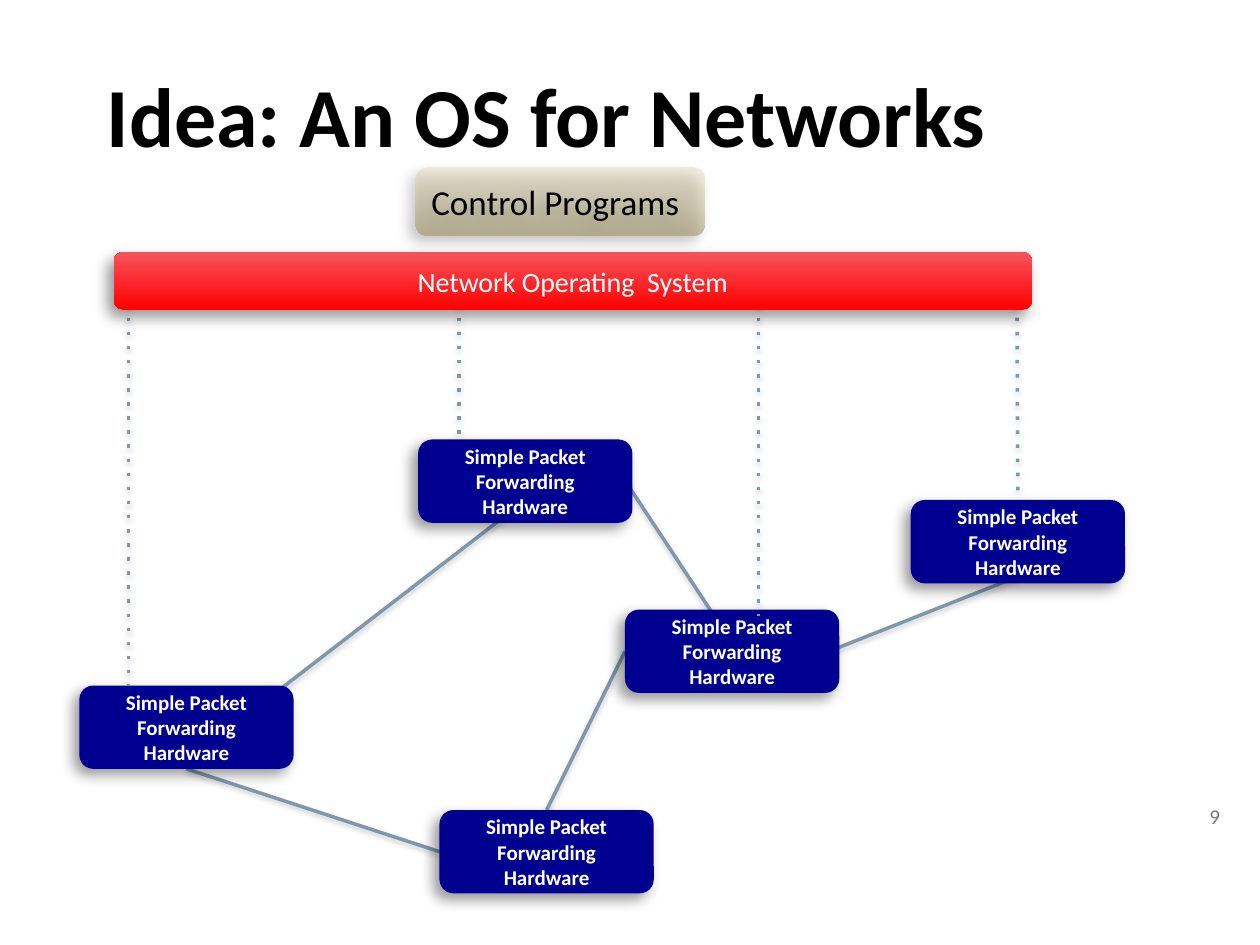
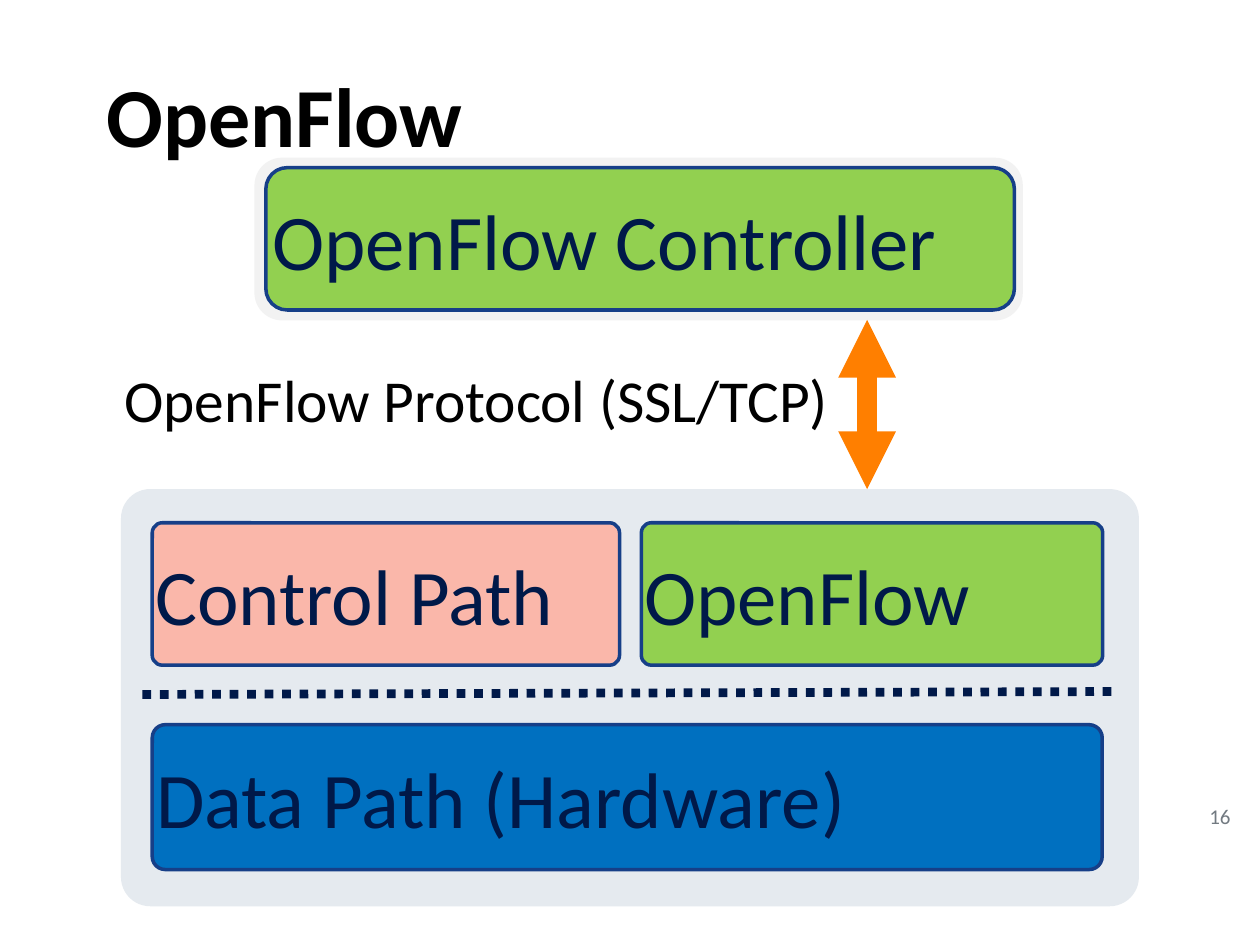
import lxml.etree
import pptx
import pptx.dml.color
import pptx.enum.shapes
import pptx.enum.text
import pptx.oxml.ns
import pptx.util

Cm, Pt = pptx.util.Cm, pptx.util.Pt
qn = pptx.oxml.ns.qn
ALIGN = pptx.enum.text.PP_ALIGN
MIDDLE = pptx.enum.text.MSO_ANCHOR.MIDDLE
NO_FIT = pptx.enum.text.MSO_AUTO_SIZE.NONE
ROUNDED = pptx.enum.shapes.MSO_SHAPE.ROUNDED_RECTANGLE
STRAIGHT = pptx.enum.shapes.MSO_CONNECTOR.STRAIGHT
TOP, LEFT, BOTTOM = 0, 1, 2

BLACK, WHITE, GRAY = "000000", "FFFFFF", "727A81"
NAVY, INK, EDGE, STEEL = "000090", "001949", "163F88", "7E97AD"
GREEN, BLUE, PINK, ORANGE = "92D050", "0070C0", "FAB7AA", "FF7F00"
PALE, MIST = "E5EAEF", "F2F2F2"
BOX_SHADOW = ("000000", 40, 8, 5, 135)
LINE_SHADOW = ("808080", 38, 3.1, 1.6, 90)


def rgb(value):
    return pptx.dml.color.RGBColor.from_string(value)


def child(parent, tag, **attrs):
    el = lxml.etree.SubElement(parent, qn(tag))
    for name, value in attrs.items():
        el.set(name, str(value))
    return el


class Deck:
    """Hold the shared style and the current slide, and draw elements on it."""

    def __init__(self):
        self.prs = pptx.Presentation()
        self.prs.slide_width, self.prs.slide_height = Cm(25.4), Cm(19.05)
        self.s = None

    def slide(self, title, number):
        self.s = self.prs.slides.add_slide(self.prs.slide_layouts[5])
        sp = self.s.shapes.title
        box = dict(left=Cm(1.9), top=Cm(0.84), width=Cm(20.12), height=Cm(3.18))
        for name, value in box.items():
            setattr(sp, name, value)
        self.put_text(sp, title, 48, BLACK, bold=True)
        sp.text_frame.paragraphs[0].line_spacing = 0.9
        self.text(number, 24.13, 15.95, 1.07, 1.02, 12, GRAY)

    def put_text(self, sp, text, size, color, bold=False, align=ALIGN.LEFT, inset=None, wrap=True):
        tf = sp.text_frame
        frame = dict(vertical_anchor=MIDDLE, word_wrap=wrap, auto_size=NO_FIT)
        if inset is not None:
            frame.update(dict.fromkeys(
                ("margin_left", "margin_top", "margin_right", "margin_bottom"), Cm(inset)))
        for name, value in frame.items():
            setattr(tf, name, value)
        p = tf.paragraphs[0]
        p.alignment = align
        r = p.add_run()
        r.text = text
        for name, value in dict(name="Calibri", size=Pt(size), bold=bold).items():
            setattr(r.font, name, value)
        r.font.color.rgb = rgb(color)

    def text(self, text, x, y, w, h, size, color, inset=None):
        sp = self.s.shapes.add_textbox(Cm(x), Cm(y), Cm(w), Cm(h))
        self.put_text(sp, text, size, color, inset=inset, wrap=False)

    def shadow(self, effects, color, alpha, blur, dist, angle):
        el = child(effects, "a:outerShdw", blurRad=Pt(blur), dist=Pt(dist),
                   dir=angle * 60000, algn="ctr", rotWithShape=0)
        child(child(el, "a:srgbClr", val=color), "a:alpha", val=alpha * 1000)

    def box(self, x, y, w, h, fill, edge=None, adj=None, shadow=None):
        sp = self.s.shapes.add_shape(ROUNDED, Cm(x), Cm(y), Cm(w), Cm(h))
        sp.shadow.inherit = False
        if adj is not None:
            sp.adjustments[0] = adj
        if isinstance(fill, str):
            sp.fill.solid()
            sp.fill.fore_color.rgb = rgb(fill)
        else:
            self.gradient(sp, fill)
        if edge:
            sp.line.color.rgb = rgb(edge)
            sp.line.width = Pt(2)
        else:
            sp.line.fill.background()
        if shadow:
            self.shadow(sp._element.spPr.find(qn("a:effectLst")), *shadow)
        return sp

    def gradient(self, sp, stops):
        sp.fill.gradient()
        sp.fill.gradient_angle = 90
        for stop, (color, _) in zip(sp.fill.gradient_stops, stops):
            stop.color.rgb = rgb(color)
        colors = sp._element.spPr.iter(qn("a:srgbClr"))
        for el, (_, alpha) in zip(list(colors), stops):
            child(el, "a:alpha", val=alpha * 1000)

    def node(self, x, y):
        sp = self.box(x, y, 4.32, 1.68, NAVY, shadow=BOX_SHADOW)
        self.put_text(sp, "Simple Packet Forwarding Hardware", 12, WHITE, True, ALIGN.CENTER)
        return sp

    def layer(self, text, x, y, w, h, fill, adj):
        sp = self.box(x, y, w, h, fill, EDGE, adj)
        self.put_text(sp, text, 45, INK, inset=0)

    def line(self, x1, y1, x2, y2, color=STEEL, width=2, dash=None, arrows=False, shadow=None):
        sp = self.s.shapes.add_connector(STRAIGHT, Cm(x1), Cm(y1), Cm(x2), Cm(y2))
        sp.line.color.rgb = rgb(color)
        sp.line.width = Pt(width)
        ln = sp._element.spPr.find(qn("a:ln"))
        if dash:
            child(ln, "a:prstDash", val=dash)
        if arrows:
            for tag in ("a:headEnd", "a:tailEnd"):
                child(ln, tag, type="triangle")
        effects = child(sp._element.spPr, "a:effectLst")
        if shadow:
            self.shadow(effects, *shadow)
        return sp


def network_os(d):
    d.slide("Idea: An OS for Networks", "9")
    ends = [(5.51, 14, 10.13, 10.44), (12.27, 9.19, 14.4, 12.42),
            (11.02, 16.33, 12.6, 13.13), (3.76, 15.49, 8.86, 17.17),
            (16.51, 13.21, 20.5, 11.63)]
    links = [d.line(*e, shadow=LINE_SHADOW) for e in ends]
    west, center, south = [d.node(x, y) for x, y in
                           ((1.6, 13.82), (12.6, 12.29), (8.86, 16.33))]
    drops = [d.line(x, 6.12, x, y, dash="dot", shadow=LINE_SHADOW) for x, y in
             ((2.59, 13.82), (9.25, 8.86), (15.29, 12.42), (20.5, 10.08))]
    d.node(8.43, 8.86)
    east = d.node(18.36, 10.08)
    links[2].begin_connect(south, TOP)
    links[2].end_connect(center, LEFT)
    links[3].begin_connect(west, BOTTOM)
    links[3].end_connect(south, LEFT)
    drops[3].end_connect(east, TOP)
    sp = d.box(2.29, 5.08, 18.52, 1.17, [("FF0000", 100), ("F7545C", 100)], shadow=BOX_SHADOW)
    d.put_text(sp, "Network Operating  System", 16, WHITE, align=ALIGN.CENTER)
    sp = d.box(8.38, 3.38, 5.82, 1.37, [("A49768", 60), ("E6DAB8", 45)], shadow=BOX_SHADOW)
    d.put_text(sp, "Control Programs", 20, BLACK)


def openflow(d):
    d.slide("OpenFlow", "16")
    d.box(2.44, 9.86, 20.52, 8.41, PALE, adj=0.07)
    d.layer("Data Path (Hardware)", 3.07, 14.61, 19.15, 2.92, BLUE, 0.09)
    d.layer("Control Path", 3.07, 10.54, 9.42, 2.87, PINK, 0.07)
    d.line(2.87, 14, 22.53, 13.94, INK, 5, dash="sysDot")
    d.layer("OpenFlow", 12.93, 10.54, 9.3, 2.87, GREEN, 0.07)
    d.box(5.13, 3.18, 15.49, 3.28, MIST, adj=0.17)
    d.layer("OpenFlow Controller", 5.36, 3.38, 15.09, 2.87, GREEN, 0.15)
    d.line(17.48, 6.45, 17.48, 9.86, ORANGE, 11, arrows=True)
    d.text("OpenFlow Protocol (SSL/TCP)", 2.51, 7.32, 14.25, 1.45, 34, BLACK, inset=0)


def main():
    d = Deck()
    network_os(d)
    openflow(d)
    d.prs.save("out.pptx")


if __name__ == "__main__":
    main()
